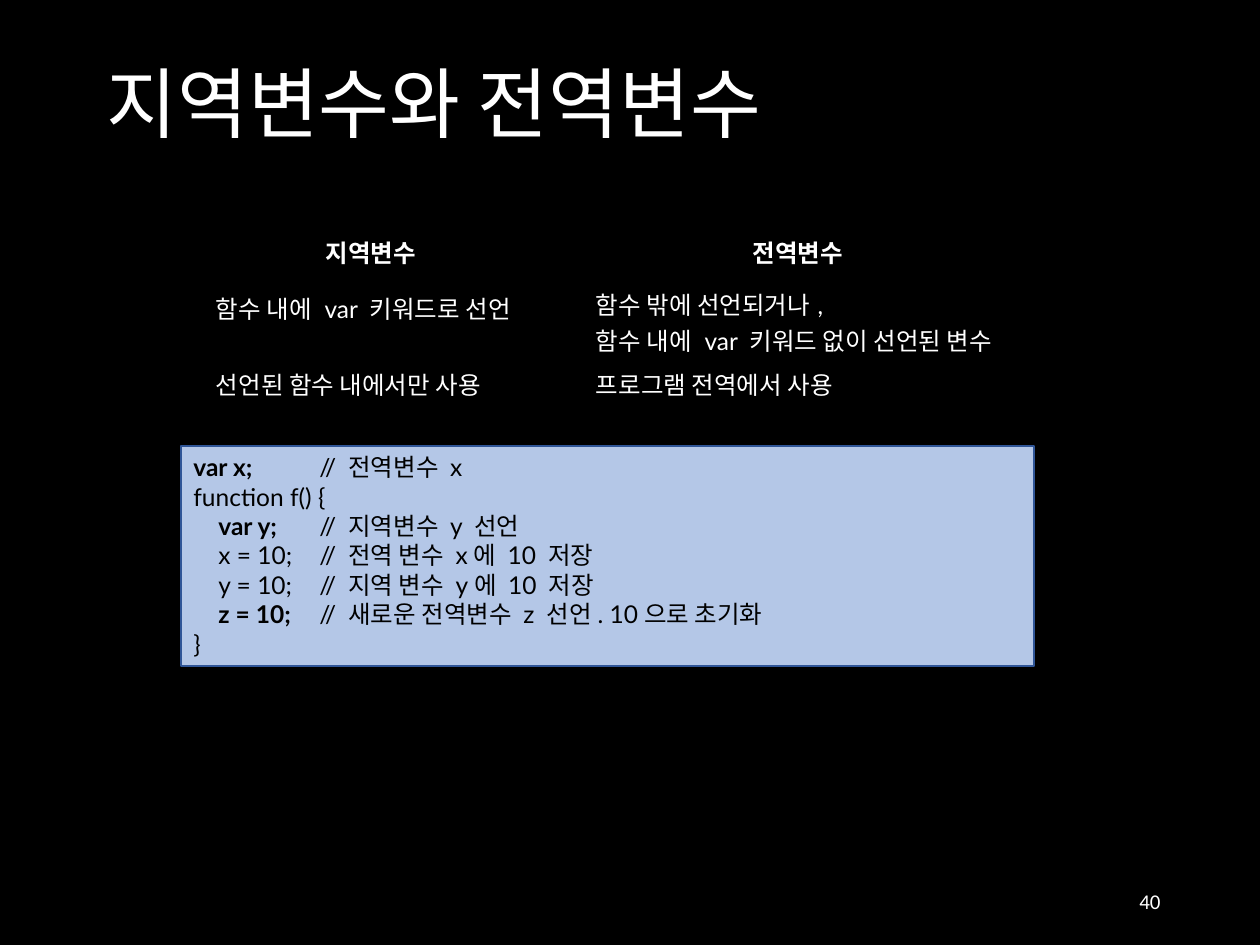
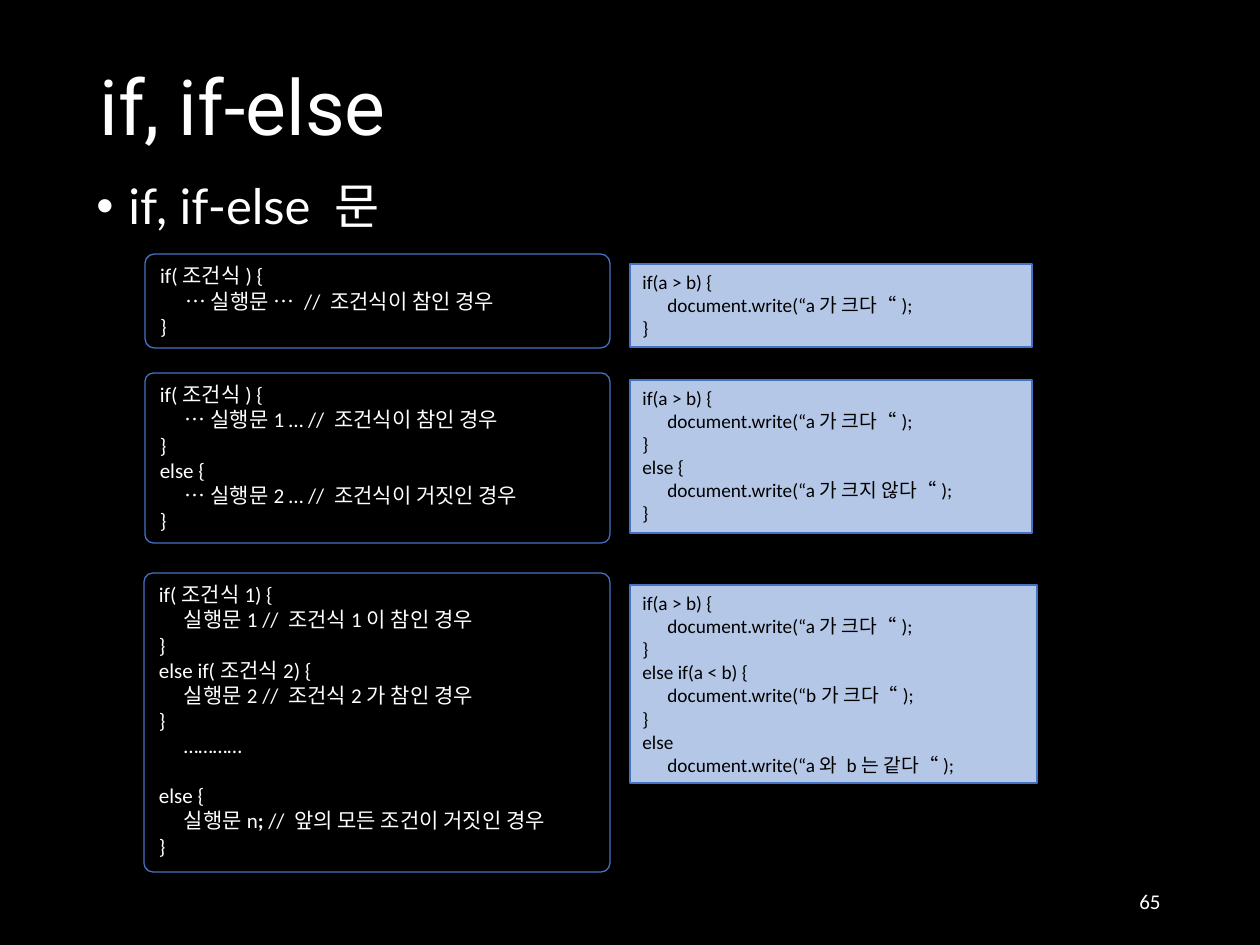
from dataclasses import dataclass

from pptx import Presentation
from pptx.dml.color import RGBColor
from pptx.enum.shapes import MSO_SHAPE
from pptx.enum.text import MSO_ANCHOR, PP_ALIGN
from pptx.oxml.ns import qn
from pptx.util import Pt
from lxml.etree import SubElement

PX = 914400 // 126  # EMU per px


@dataclass(frozen=True)
class Theme:
    black: RGBColor = RGBColor.from_string("000000")
    white: RGBColor = RGBColor.from_string("FFFFFF")
    code_fill: RGBColor = RGBColor.from_string("B4C7E7")
    dark_line: RGBColor = RGBColor.from_string("2F5597")
    line: RGBColor = RGBColor.from_string("4472C4")
    title_font: str = "Roboto"
    body_font: str = "Lato"
    code_font: str = "Calibri"
    title: int = 44
    bullet: int = 28
    body: int = 14
    syntax: int = 12
    example: int = 11
    number: int = 12


THEME = Theme()
CODE_TABS = (25, 126)


def write(frame, text, font, size, color, align=PP_ALIGN.LEFT):
    """Fill a frame line by line; ** switches bold, a tab goes to the next code stop."""
    frame.word_wrap = True
    for i, line in enumerate(text.split("\n")):
        paragraph = frame.paragraphs[0] if i == 0 else frame.add_paragraph()
        paragraph.alignment = align
        if "\t" in line:
            stops = SubElement(paragraph._p.get_or_add_pPr(), qn("a:tabLst"))
            for stop in CODE_TABS:
                SubElement(stops, qn("a:tab"), pos=str(stop * PX), algn="l")
        for j, part in enumerate(line.split("**")):
            if part:
                run = paragraph.add_run()
                run.text = part
                run.font.name = font
                run.font.size = Pt(size)
                run.font.color.rgb = color
                run.font.bold = j % 2 == 1


def add_panel(slide, box, line_color, fill=None):
    """Outlined code panel: a filled rectangle, or a hollow rounded one without fill."""
    kind = MSO_SHAPE.RECTANGLE if fill else MSO_SHAPE.ROUNDED_RECTANGLE
    panel = slide.shapes.add_shape(kind, *(v * PX for v in box))
    panel.shadow.inherit = False
    panel.line.color.rgb = line_color
    panel.line.width = Pt(0.75)
    if fill:
        panel.fill.solid()
        panel.fill.fore_color.rgb = fill
    else:
        panel.fill.background()
        panel.adjustments[0] = round(9 / box[3], 2)
    panel.text_frame.vertical_anchor = MSO_ANCHOR.TOP
    return panel.text_frame


prs = Presentation()
prs.slide_width = 1260 * PX
prs.slide_height = 945 * PX

# Background, title and page number of every slide
slides = []
for title, title_box, number in (
    ("지역변수와 전역변수", (94, 19, 878, 178), "40"),
    ("if, if-else", (87, 50, 1086, 121), "65"),
):
    slide = prs.slides.add_slide(prs.slide_layouts[6])
    slide.background.fill.solid()
    slide.background.fill.fore_color.rgb = THEME.black
    heading = slide.shapes.add_textbox(*(v * PX for v in title_box)).text_frame
    heading.vertical_anchor = MSO_ANCHOR.MIDDLE
    write(heading, title, THEME.title_font, THEME.title, THEME.white)
    heading.paragraphs[0].line_spacing = 0.9
    page = slide.shapes.add_textbox(890 * PX, 876 * PX, 283 * PX, 50 * PX).text_frame
    page.vertical_anchor = MSO_ANCHOR.MIDDLE
    write(page, number, THEME.code_font, THEME.number, THEME.white, PP_ALIGN.RIGHT)
    slides.append(slide)
variables_slide, if_slide = slides

# Local and global variables
scope_rows = (
    ("지역변수", "전역변수"),
    ("함수 내에 var 키워드로 선언", "함수 밖에 선언되거나,\n함수 내에 var 키워드 없이 선언된 변수"),
    ("선언된 함수 내에서만 사용", "프로그램 전역에서 사용"),
)
scopes = variables_slide.shapes.add_table(
    3, 2, 181 * PX, 220 * PX, 854 * PX, 188 * PX).table
scopes.first_row = scopes.horz_banding = False
for column, width in zip(scopes.columns, (380, 474)):
    column.width = width * PX
for row, height in zip(scopes.rows, (64, 76, 48)):
    row.height = height * PX
for r, texts in enumerate(scope_rows):
    for c, text in enumerate(texts):
        cell = scopes.cell(r, c)
        cell.margin_left = cell.margin_right = 9 * PX
        cell.margin_top = cell.margin_bottom = 2 * PX
        cell.vertical_anchor = MSO_ANCHOR.MIDDLE
        for side in ("a:lnL", "a:lnR", "a:lnT", "a:lnB"):
            border = SubElement(cell._tc.get_or_add_tcPr(), qn(side), w=str(Pt(0.5)))
            SubElement(SubElement(border, qn("a:solidFill")), qn("a:srgbClr"),
                       val=str(THEME.black))
        cell.fill.background()
        if r == 0:
            write(cell.text_frame, f"**{text}**", THEME.body_font, THEME.body,
                  THEME.white, PP_ALIGN.CENTER)
            continue
        write(cell.text_frame, text, THEME.body_font, THEME.body, THEME.white)
        for paragraph in cell.text_frame.paragraphs:
            paragraph._p.get_or_add_pPr().set("marL", str(26 * PX))
local_declaration = scopes.cell(1, 0)
local_declaration.vertical_anchor = MSO_ANCHOR.TOP
local_declaration.margin_top = 6 * PX

scope_code = """**var x;**\t// 전역변수 x
function f() {
\t**var y;**\t// 지역변수 y 선언
\tx = 10;\t// 전역 변수 x에 10 저장
\ty = 10;\t// 지역 변수 y에 10 저장
\t**z = 10;**\t// 새로운 전역변수 z 선언. 10으로 초기화
}"""
write(add_panel(variables_slide, (181, 446, 853, 220), THEME.dark_line, THEME.code_fill),
      scope_code, THEME.body_font, THEME.body, THEME.black)

# if and if-else
topic = if_slide.shapes.add_textbox(84 * PX, 176 * PX, 1124 * PX, 694 * PX).text_frame
topic_format = topic.paragraphs[0]._p.get_or_add_pPr()
topic_format.set("marL", str(32 * PX))
topic_format.set("indent", str(-32 * PX))
SubElement(topic_format, qn("a:buFont"), typeface="Arial")
SubElement(topic_format, qn("a:buChar"), char="•")
write(topic, "if, if-else 문", THEME.body_font, THEME.bullet, THEME.white)
topic.paragraphs[0].line_spacing = 0.9

if_forms = (
    ((145, 254, 465, 94), """if(조건식) {
\t… 실행문 … // 조건식이 참인 경우
}""",
     (630, 264, 402, 83), """if(a > b) {
\tdocument.write(“a가 크다“);
}"""),
    ((145, 373, 465, 170), """if(조건식) {
\t… 실행문1 … // 조건식이 참인 경우
}
else {
\t… 실행문2 … // 조건식이 거짓인 경우
}""",
     (630, 380, 402, 153), """if(a > b) {
\tdocument.write(“a가 크다“);
}
else {
\tdocument.write(“a가 크지 않다“);
}"""),
    ((144, 573, 466, 299), """if(조건식1) {
\t실행문1 // 조건식1이 참인 경우
}
else if(조건식2) {
\t실행문2 // 조건식2가 참인 경우
}
\t…………
else {
\t실행문n**; **// 앞의 모든 조건이 거짓인 경우
}""",
     (630, 585, 407, 198), """if(a > b) {
\tdocument.write(“a가 크다“);
}
else if(a < b) {
\tdocument.write(“b가 크다“);
}
else
\tdocument.write(“a와 b는 같다“);"""),
)
for syntax_box, syntax, example_box, example in if_forms:
    syntax_frame = add_panel(if_slide, syntax_box, THEME.line)
    write(syntax_frame, syntax, THEME.code_font, THEME.syntax, THEME.white)
    for before, after in zip(syntax_frame.paragraphs, syntax_frame.paragraphs[1:]):
        if before.text == "\t…………":
            after.space_before = Pt(14)
    write(add_panel(if_slide, example_box, THEME.line, THEME.code_fill),
          example, THEME.code_font, THEME.example, THEME.black)

prs.save("out.pptx")
